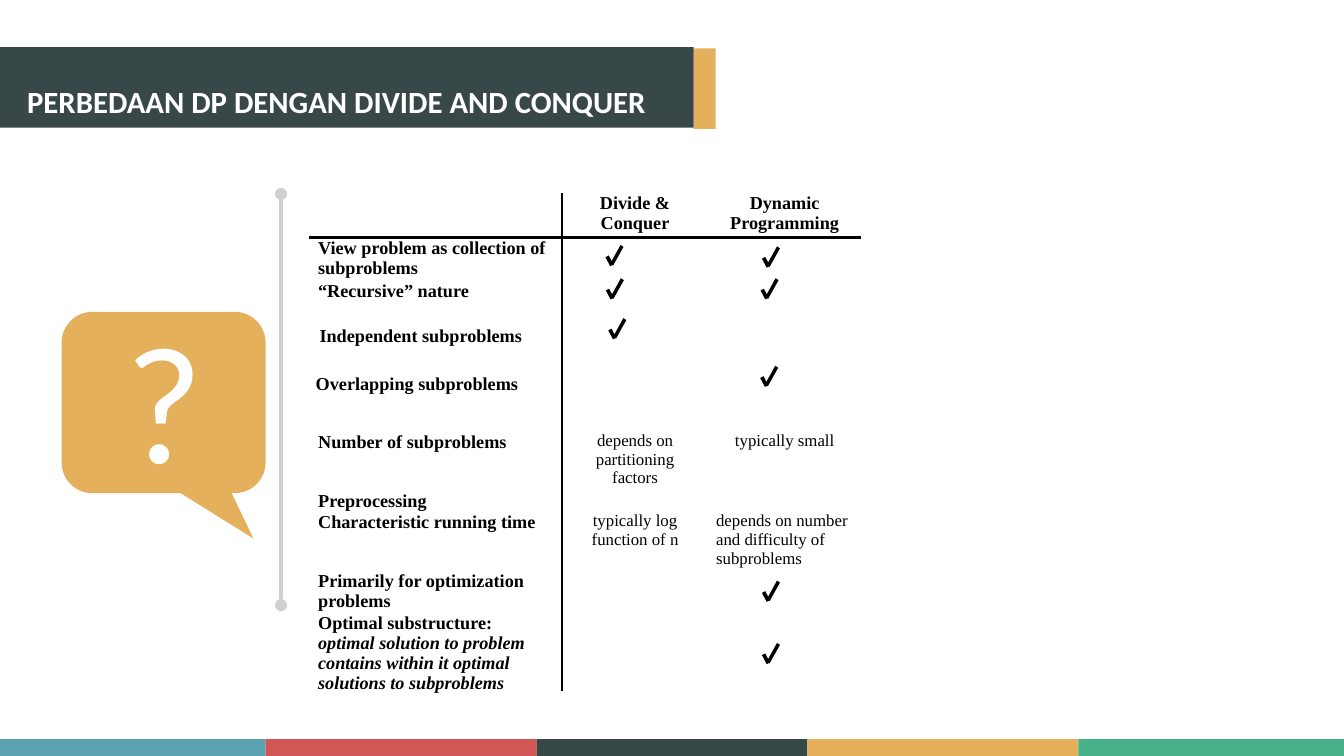
from itertools import pairwise

from lxml.etree import SubElement
from pptx import Presentation
from pptx.dml.color import RGBColor
from pptx.enum.shapes import MSO_CONNECTOR, MSO_SHAPE
from pptx.enum.text import MSO_ANCHOR, MSO_AUTO_SIZE, PP_ALIGN
from pptx.oxml.ns import qn
from pptx.util import Pt

COLORS = {
    "black": "000000",
    "white": "FFFFFF",
    "gray": "D0CECE",
    "teal": "5BA2B2",
    "red": "D15656",
    "slate": "384849",
    "gold": "E5B05C",
    "green": "47B289",
}
SERIF = "Times New Roman"
SANS = "Calibri"

COLUMN_EDGES = (441.5, 802.5, 1012, 1230)
ROW_EDGES = (276.5, 340.5, 402, 466, 535, 617, 701.25, 731.5, 815.75, 876.25, 997)
HEADERS = ("Divide &\nConquer", "Dynamic\nProgramming")
# Criterion with its left indent
CRITERIA = (
    ("View problem as collection of\nsubproblems", 13),
    ("“Recursive” nature", 13),
    ("Independent subproblems", 15),
    ("Overlapping subproblems", 9.5),
    ("Number of subproblems", 13),
    ("Preprocessing", 13),
    ("Characteristic running time", 13),
    ("Primarily for optimization\nproblems", 13),
    ("Optimal substructure:", 13),
)
SUBSTRUCTURE_NOTE = (
    "optimal solution to problem\ncontains within it optimal\nsolutions to subproblems"
)
# Row, column, text, alignment
REMARKS = (
    (5, 1, "depends on\npartitioning\nfactors", PP_ALIGN.CENTER),
    (5, 2, "typically small", PP_ALIGN.CENTER),
    (7, 1, "typically log\nfunction of n", PP_ALIGN.CENTER),
    (7, 2, "depends on number\nand difficulty of\nsubproblems", PP_ALIGN.LEFT),
)
DIVIDE_CHECKS = ((865, 350), (865.5, 397.5), (869, 454.5))
DYNAMIC_CHECKS = (
    (1088.5, 352), (1086.5, 397.5), (1086, 522.5), (1088.5, 829.5), (1088.5, 918.5),
)
CHECK_STROKES = (
    ((4.75, 15), (0, 17.5), (6.75, 30.25), (11.5, 28)),
    ((6.75, 26.75), (11, 29.25), (25.75, 2.75), (21.5, 0)),
)
STRIPE_EDGES = (0, 379.5, 766.5, 1153.5, 1540.5, 1920)
STRIPE_COLORS = ("teal", "red", "slate", "gold", "green")


def color(name):
    return RGBColor.from_string(COLORS[name])


def write(frame, text, *, size, font=SERIF, fill="black", bold=False, italic=False,
          align=PP_ALIGN.LEFT):
    """Add one paragraph to a text frame; newlines become line breaks."""
    paragraph = frame.add_paragraph() if frame.text else frame.paragraphs[0]
    paragraph.alignment = align
    for index, line in enumerate(text.split("\n")):
        if index:
            paragraph.add_line_break()
        run = paragraph.add_run()
        run.text = line
        run.font.name = font
        run.font.size = Pt(size)
        run.font.bold = bold
        run.font.italic = italic
        run.font.color.rgb = color(fill)


def paint(shape, fill):
    shape.shadow.inherit = False
    shape.fill.solid()
    shape.fill.fore_color.rgb = color(fill)
    shape.line.fill.background()


def add_block(slide, left, top, width, height, fill, kind=MSO_SHAPE.RECTANGLE):
    shape = slide.shapes.add_shape(kind, Pt(left), Pt(top), Pt(width), Pt(height))
    paint(shape, fill)
    return shape


def add_rule(slide, start, end, fill, width, dots=False):
    """Draw a straight line, with round dots at both ends if wanted."""
    rule = slide.shapes.add_connector(
        MSO_CONNECTOR.STRAIGHT, *(Pt(value) for value in (*start, *end)))
    rule.line.color.rgb = color(fill)
    rule.line.width = Pt(width)
    if dots:
        line = rule.line._get_or_add_ln()
        for tag in ("a:headEnd", "a:tailEnd"):
            SubElement(line, qn(tag), type="oval")
    SubElement(rule.element.spPr, qn("a:effectLst"))


def add_check(slide, left, top):
    for stroke in CHECK_STROKES:
        points = [(Pt(left + x), Pt(top + y)) for x, y in stroke]
        builder = slide.shapes.build_freeform(*points[0])
        builder.add_line_segments(points[1:])
        paint(builder.convert_to_shape(), "black")


def add_comparison(slide):
    left, right = COLUMN_EDGES[0], COLUMN_EDGES[-1]
    top, bottom = ROW_EDGES[0], ROW_EDGES[-1]
    table = slide.shapes.add_table(
        len(ROW_EDGES) - 1, len(COLUMN_EDGES) - 1,
        Pt(left), Pt(top), Pt(right - left), Pt(bottom - top)).table
    table.first_row = table.horz_banding = False
    for column, (start, end) in zip(table.columns, pairwise(COLUMN_EDGES)):
        column.width = Pt(end - start)
    for row, (start, end) in zip(table.rows, pairwise(ROW_EDGES)):
        row.height = Pt(end - start)
    for cell in table.iter_cells():
        cell.fill.background()
        cell.margin_left = cell.margin_right = cell.margin_top = cell.margin_bottom = 0

    for column, text in enumerate(HEADERS, 1):
        write(table.cell(0, column).text_frame, text, size=26, bold=True,
              align=PP_ALIGN.CENTER)
    for row, (text, indent) in enumerate(CRITERIA, 1):
        cell = table.cell(row, 0)
        cell.margin_left = Pt(indent)
        write(cell.text_frame, text, size=26, bold=True)
    write(table.cell(len(CRITERIA), 0).text_frame, SUBSTRUCTURE_NOTE,
          size=26, bold=True, italic=True)
    for row, column, text, align in REMARKS:
        cell = table.cell(row, column)
        if align == PP_ALIGN.LEFT:
            cell.margin_left = Pt(11)
        write(cell.text_frame, text, size=24, align=align)

    add_rule(slide, (left, 339), (right, 339), "black", 3.5)
    add_rule(slide, (COLUMN_EDGES[1], 276), (COLUMN_EDGES[1], 986.5), "black", 3.5)
    for position in DIVIDE_CHECKS + DYNAMIC_CHECKS:
        add_check(slide, *position)


def add_title(slide):
    add_block(slide, 991, 69, 31.5, 115, "gold")
    add_block(slide, 0, 67.5, 991, 115, "slate")
    title = slide.shapes.title
    title.left, title.top, title.width, title.height = Pt(31.5), Pt(114), Pt(981), Pt(60.5)
    frame = title.text_frame
    frame.auto_size = MSO_AUTO_SIZE.NONE
    frame.word_wrap = True
    frame.vertical_anchor = MSO_ANCHOR.TOP
    write(frame, "PERBEDAAN DP DENGAN DIVIDE AND CONQUER", size=44, font=SANS,
          fill="white", bold=True)
    title.element.getparent().append(title.element)  # in front of the band


def add_question(slide):
    add_rule(slide, (401.5, 864.5), (401.5, 277), "gray", 5.75, dots=True)
    bubble = add_block(slide, 88, 445.5, 291.5, 259, "gold",
                       MSO_SHAPE.ROUNDED_RECTANGULAR_CALLOUT)
    for index, value in enumerate((0.44, 0.75, 0.17)):
        bubble.adjustments[index] = value
    box = slide.shapes.add_textbox(Pt(171.5), Pt(420), Pt(157), Pt(296.5))
    box.text_frame.word_wrap = True
    write(box.text_frame, "?", size=239, font=SANS, fill="white")


def main():
    presentation = Presentation()
    presentation.slide_width, presentation.slide_height = Pt(1920), Pt(1080)
    slide = presentation.slides.add_slide(presentation.slide_layouts[5])
    add_comparison(slide)
    for (start, end), fill in zip(pairwise(STRIPE_EDGES), STRIPE_COLORS):
        add_block(slide, start, 1056, end - start, 24, fill)
    add_title(slide)
    add_question(slide)
    presentation.save("out.pptx")


if __name__ == "__main__":
    main()
